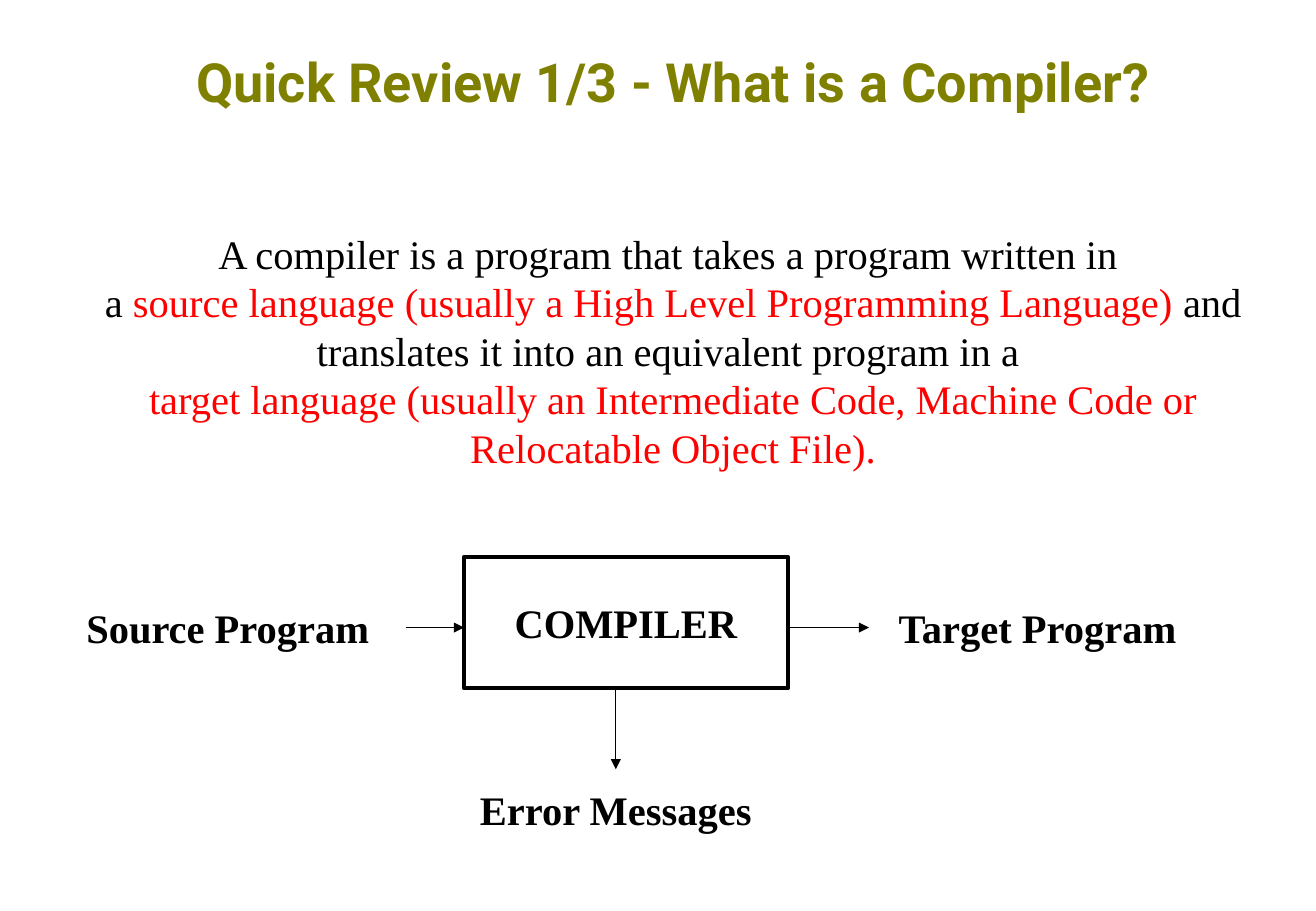
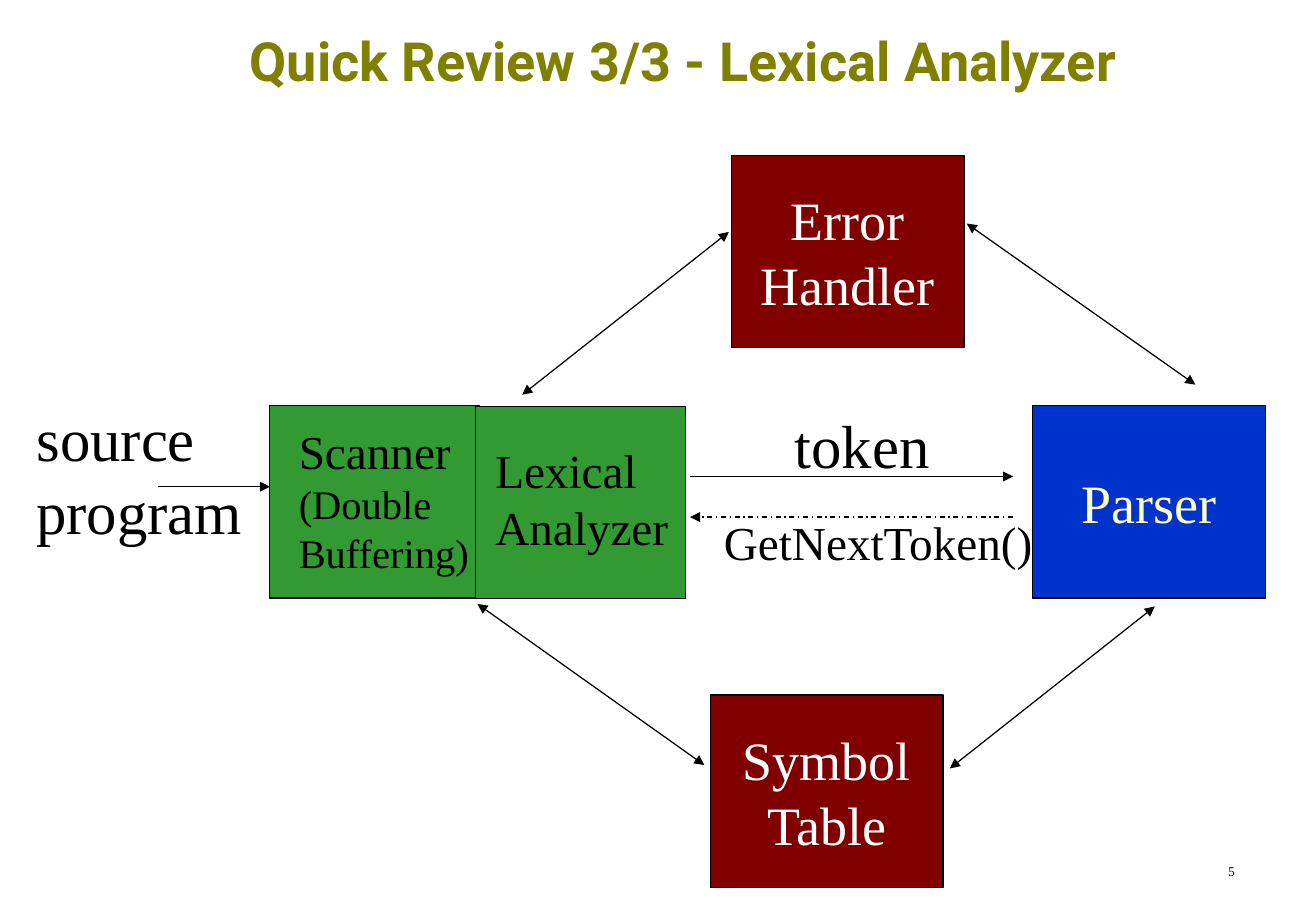
import dataclasses

import pptx
import pptx.dml.color
import pptx.enum.dml
import pptx.enum.shapes
import pptx.enum.text
import pptx.oxml
import pptx.oxml.ns
import pptx.util

Pt = pptx.util.Pt
LEFT = pptx.enum.text.PP_ALIGN.LEFT
CENTER = pptx.enum.text.PP_ALIGN.CENTER
RIGHT = pptx.enum.text.PP_ALIGN.RIGHT
MIDDLE = pptx.enum.text.MSO_ANCHOR.MIDDLE


@dataclasses.dataclass(frozen=True)
class Theme:
    title_font: str = "Roboto"
    body_font: str = "Times New Roman"
    olive: str = "808000"
    black: str = "000000"
    white: str = "FFFFFF"
    cream: str = "FFFFCC"
    red: str = "FF0000"
    maroon: str = "800000"
    green: str = "339933"
    blue: str = "0033CC"
    title: int = 32
    node: int = 32
    flow: int = 36
    stage: int = 28
    body: int = 24
    footer: int = 8
    thin: float = 0.75
    thick: float = 2.25


T = Theme()


def rgb(color):
    return pptx.dml.color.RGBColor.from_string(color)


def style(r, size, color=T.black, bold=False, font=T.body_font):
    r.font.size, r.font.bold, r.font.name = Pt(size), bold, font
    r.font.color.rgb = rgb(color)


def set_text(tf, text, size, align=LEFT, wrap=True, **look):
    tf.text = text
    tf.word_wrap = wrap
    for p in tf.paragraphs:
        p.alignment = align
        for r in p.runs:
            style(r, size, **look)


def add_text(s, box, text, size, grow=False, **look):
    tf = s.shapes.add_textbox(*map(Pt, box)).text_frame
    set_text(tf, text, size, **look)
    if grow:
        tf.auto_size = pptx.enum.text.MSO_AUTO_SIZE.SHAPE_TO_FIT_TEXT
    return tf


def add_box(s, box, fill=None, text="", width=T.thin, size=T.node, **look):
    sp = s.shapes.add_shape(pptx.enum.shapes.MSO_SHAPE.RECTANGLE, *map(Pt, box))
    sp.shadow.inherit = False
    if fill:
        sp.fill.solid()
        sp.fill.fore_color.rgb = rgb(fill)
    else:
        sp.fill.background()
    sp.line.color.rgb = rgb(T.black)
    sp.line.width = Pt(width)
    if text:
        set_text(sp.text_frame, text, size, align=CENTER, wrap=False, **look)
        sp.text_frame.vertical_anchor = MIDDLE


def add_arrow(s, x1, y1, x2, y2, both=False, dash=None):
    c = s.shapes.add_connector(pptx.enum.shapes.MSO_CONNECTOR.STRAIGHT,
                               Pt(x1), Pt(y1), Pt(x2), Pt(y2))
    c.line.color.rgb = rgb(T.black)
    c.line.width = Pt(T.thin)
    if dash:
        c.line.dash_style = dash
    ns = pptx.oxml.ns.nsdecls("a")
    ln = c._element.spPr.find(pptx.oxml.ns.qn("a:ln"))
    for end in ("headEnd", "tailEnd") if both else ("tailEnd",):
        ln.append(pptx.oxml.parse_xml(f'<a:{end} {ns} type="triangle"/>'))
    c._element.spPr.append(pptx.oxml.parse_xml(f"<a:effectLst {ns}/>"))


def add_slide(prs, title, x, y):
    s = prs.slides.add_slide(prs.slide_layouts[6])
    tf = add_text(s, (x, y, 738, 72), title, T.title, align=CENTER,
                  color=T.olive, bold=True, font=T.title_font)
    tf.vertical_anchor = MIDDLE
    return s


def definition(s, box):
    """Centred sentence with the two languages picked out in red."""
    tf = add_text(s, box, "", T.body, align=CENTER)
    p = tf.paragraphs[0]
    lines = (
        (("A compiler is a program that takes a program written in ", T.black),),
        (("a ", T.black),
         ("source language (usually a High Level Programming Language)", T.red),
         (" and translates it into an equivalent program in a ", T.black)),
        (("target language (usually an Intermediate Code, Machine Code or "
          "Relocatable Object File).", T.red),),
    )
    for i, line in enumerate(lines):
        if i:
            p.add_line_break()
        for text, color in line:
            r = p.add_run()
            r.text = text
            style(r, T.body, color)


def compiler_diagram(s, x, y):
    """Compiler with its input and its two outputs."""
    add_box(s, (x + 232, y, 192, 78), text="COMPILER", width=T.thick,
            size=T.body, bold=True)
    for x1, y1, x2, y2 in ((197.5, 42, 232, 42), (424, 42, 472, 42),
                           (322, 78, 322, 126)):
        add_arrow(s, x + x1, y + y1, x + x2, y + y2)
    for text, dx, dy, w, wrap in (("Source Program", 0, 24, 184, False),
                                  ("Target Program", 481.5, 24, 181, False),
                                  ("Error Messages", 232, 132, 180, True)):
        add_text(s, (x + dx, y + dy, w, 36.5), text, T.body, grow=True,
                 align=CENTER, wrap=wrap, bold=True)


def lexer_diagram(s, x, y):
    """Scanner and lexical analyzer between the source and the parser."""
    # Flow arrows
    add_arrow(s, x + 395, y + 190.5, x + 586.5, y + 190.5)
    add_arrow(s, x + 586.5, y + 214.5, x + 395, y + 214.5,
              dash=pptx.enum.dml.MSO_LINE.DASH_DOT)
    add_arrow(s, x + 79.5, y + 196.5, x + 146, y + 196.5)

    # Flow labels
    for text, dx, dy, w, h, size in (
            ("source\nprogram", 0.5, 142, 137, 93.5, T.flow),
            ("token", 450, 146, 95, 50, T.flow),
            ("GetNextToken()", 408, 208.5, 199.5, 41, T.stage)):
        add_text(s, (x + dx, y + dy, w, h), text, size, grow=True, wrap=False)

    # Nodes
    for text, dx, dy, w, fill, color in (
            ("", 146, 148.5, 124.5, T.green, T.black),
            ("", 268, 149, 124.5, T.green, T.black),
            ("Parser", 598, 148.5, 138, T.blue, T.cream),
            ("Symbol\nTable", 407, 320, 138, T.maroon, T.white),
            ("Error\nHandler", 419.5, 0, 138, T.maroon, T.white)):
        add_box(s, (x + dx, y + dy, w, 114), fill, text, color=color)

    # Stage names
    add_text(s, (x + 272.5, y + 166, 119, 75), "Lexical Analyzer", T.stage,
             grow=True)
    tf = add_text(s, (x + 156, y + 155, 120, 99), "Scanner ", T.stage, grow=True)
    r = tf.paragraphs[0].add_run()
    r.text = "(Double Buffering)"
    style(r, T.body)

    # Two-way links to the error handler and the symbol table
    for x1, y1, x2, y2 in ((670.5, 267.5, 549, 363.5), (269, 266, 403.5, 361.5),
                           (418, 45.5, 295.5, 142), (559, 40.5, 694.5, 136)):
        add_arrow(s, x + x1, y + y1, x + x2, y + y2, both=True)


def main():
    prs = pptx.Presentation()
    prs.slide_width, prs.slide_height = Pt(780), Pt(540)

    s = add_slide(prs, "Quick Review 1/3 - What is a Compiler?", 30, 12)
    definition(s, (30, 132, 738, 366))
    compiler_diagram(s, 43, 330)

    s = add_slide(prs, "Quick Review 3/3 - Lexical Analyzer", 36, -0.5)
    lexer_diagram(s, 14, 92)
    add_text(s, (576, 508, 163, 18), "5", T.footer, align=RIGHT)

    prs.save("out.pptx")


if __name__ == "__main__":
    main()
